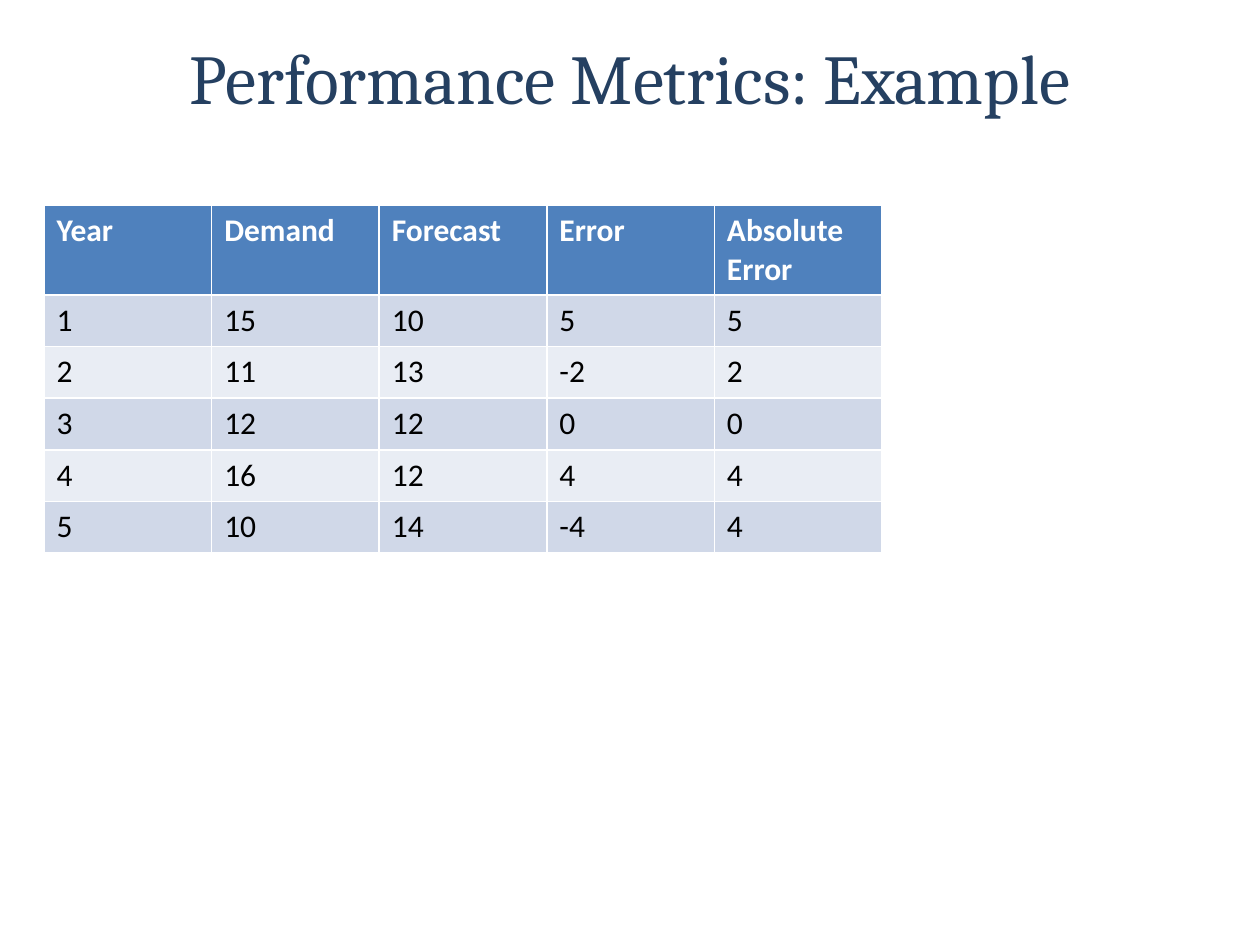
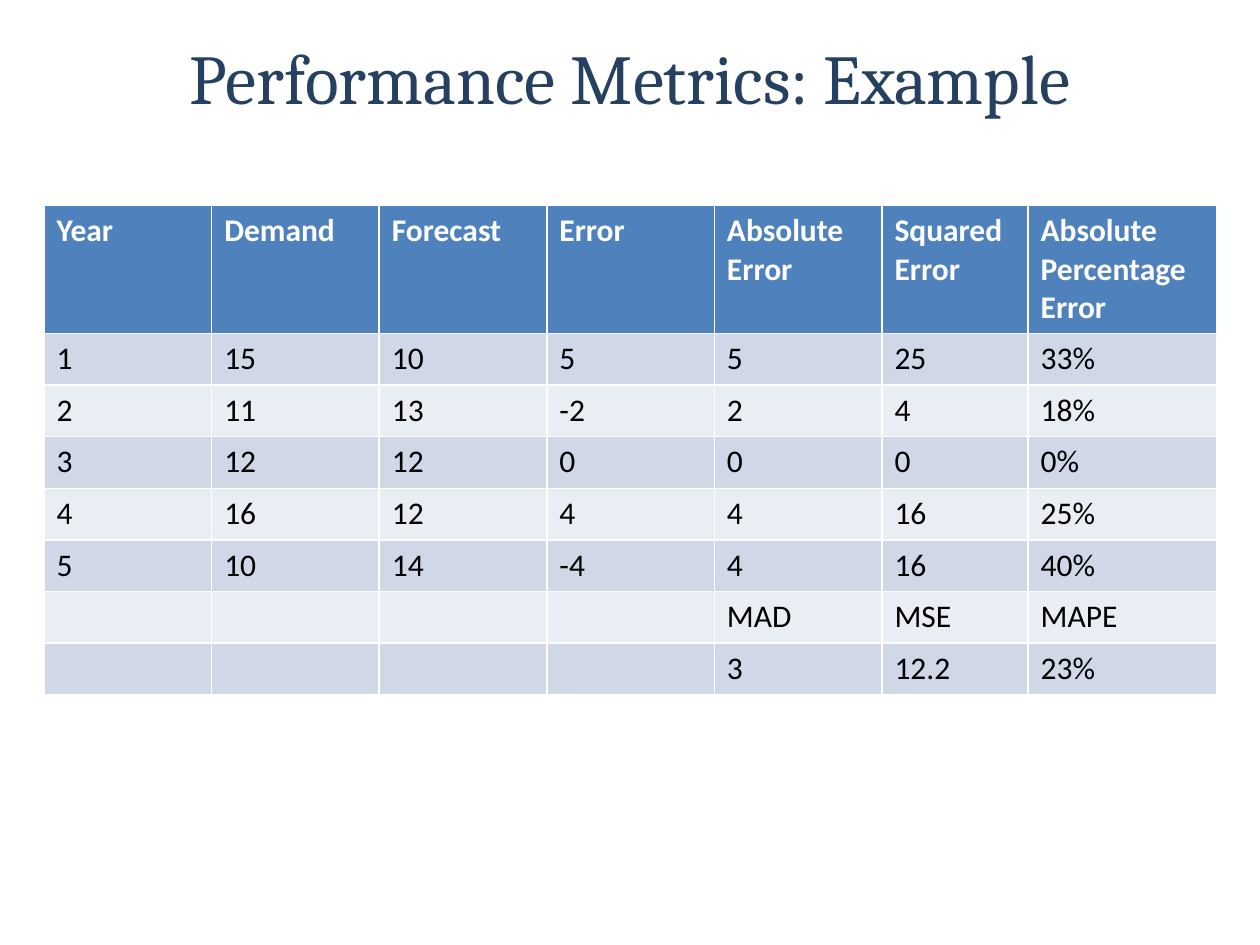
import pptx
import pptx.util
import pptx.dml.color
import pptx.enum.text

Inches, Pt = pptx.util.Inches, pptx.util.Pt
RGBColor = pptx.dml.color.RGBColor

NAVY = RGBColor(0x25, 0x40, 0x61)
BLUE = RGBColor(0x4F, 0x81, 0xBD)
BANDS = RGBColor(0xD0, 0xD8, 0xE8), RGBColor(0xE9, 0xED, 0xF4)
WHITE = RGBColor(0xFF, 0xFF, 0xFF)
BLACK = RGBColor(0, 0, 0)

TITLE = "Performance Metrics: Example"
HEADER = ["Year", "Demand", "Forecast", "Error", "Absolute Error",
          "Squared Error", "Absolute Percentage Error"]
YEARS = [
    ["1", "15", "10", "5", "5", "25", "33%"],
    ["2", "11", "13", "-2", "2", "4", "18%"],
    ["3", "12", "12", "0", "0", "0", "0%"],
    ["4", "16", "12", "4", "4", "16", "25%"],
    ["5", "10", "14", "-4", "4", "16", "40%"],
]
SUMMARY = [
    ["", "", "", "", "MAD", "MSE", "MAPE"],
    ["", "", "", "", "3", "12.2", "23%"],
]
COLUMN_WIDTHS = [1.33] * 5 + [1.16, 1.5]
ROW_HEIGHT = 0.41
TABLE_LEFT, TABLE_TOP = 0.35, 1.63

BASIC_COLUMNS = 5
TABLES = [
    [row[:BASIC_COLUMNS] for row in [HEADER] + YEARS],
    [HEADER] + YEARS + SUMMARY,
]


def add_run(p, text, font, size, color, bold=False):
    r = p.add_run()
    r.text = text
    r.font.name = font
    r.font.size = Pt(size)
    r.font.color.rgb = color
    r.font.bold = bold


def add_title(s):
    sp = s.shapes.title
    sp.left, sp.top = Inches(0.5), Inches(0.3)
    sp.width, sp.height = Inches(9), Inches(0.61)
    tf = sp.text_frame
    tf.auto_size = pptx.enum.text.MSO_AUTO_SIZE.NONE
    tf.vertical_anchor = pptx.enum.text.MSO_ANCHOR.MIDDLE
    p = tf.paragraphs[0]
    p.alignment = pptx.enum.text.PP_ALIGN.CENTER
    add_run(p, TITLE, "Cambria", 40, NAVY)


def add_metrics_table(s, rows):
    widths = COLUMN_WIDTHS[:len(rows[0])]
    table = s.shapes.add_table(
        len(rows), len(widths), Inches(TABLE_LEFT), Inches(TABLE_TOP),
        Inches(sum(widths)), Inches(ROW_HEIGHT * len(rows))).table
    for column, width in zip(table.columns, widths):
        column.width = Inches(width)
    for i, row in enumerate(rows):
        table.rows[i].height = Inches(ROW_HEIGHT)
        is_header = i == 0
        for j, text in enumerate(row):
            cell = table.cell(i, j)
            cell.fill.solid()
            cell.fill.fore_color.rgb = BLUE if is_header else BANDS[(i - 1) % 2]
            if text:
                add_run(cell.text_frame.paragraphs[0], text, "Calibri", 18,
                        WHITE if is_header else BLACK, is_header)


prs = pptx.Presentation()
prs.slide_width, prs.slide_height = Inches(10), Inches(7.5)
title_only = prs.slide_layouts[5]
for rows in TABLES:
    s = prs.slides.add_slide(title_only)
    add_title(s)
    add_metrics_table(s, rows)
prs.save("out.pptx")
